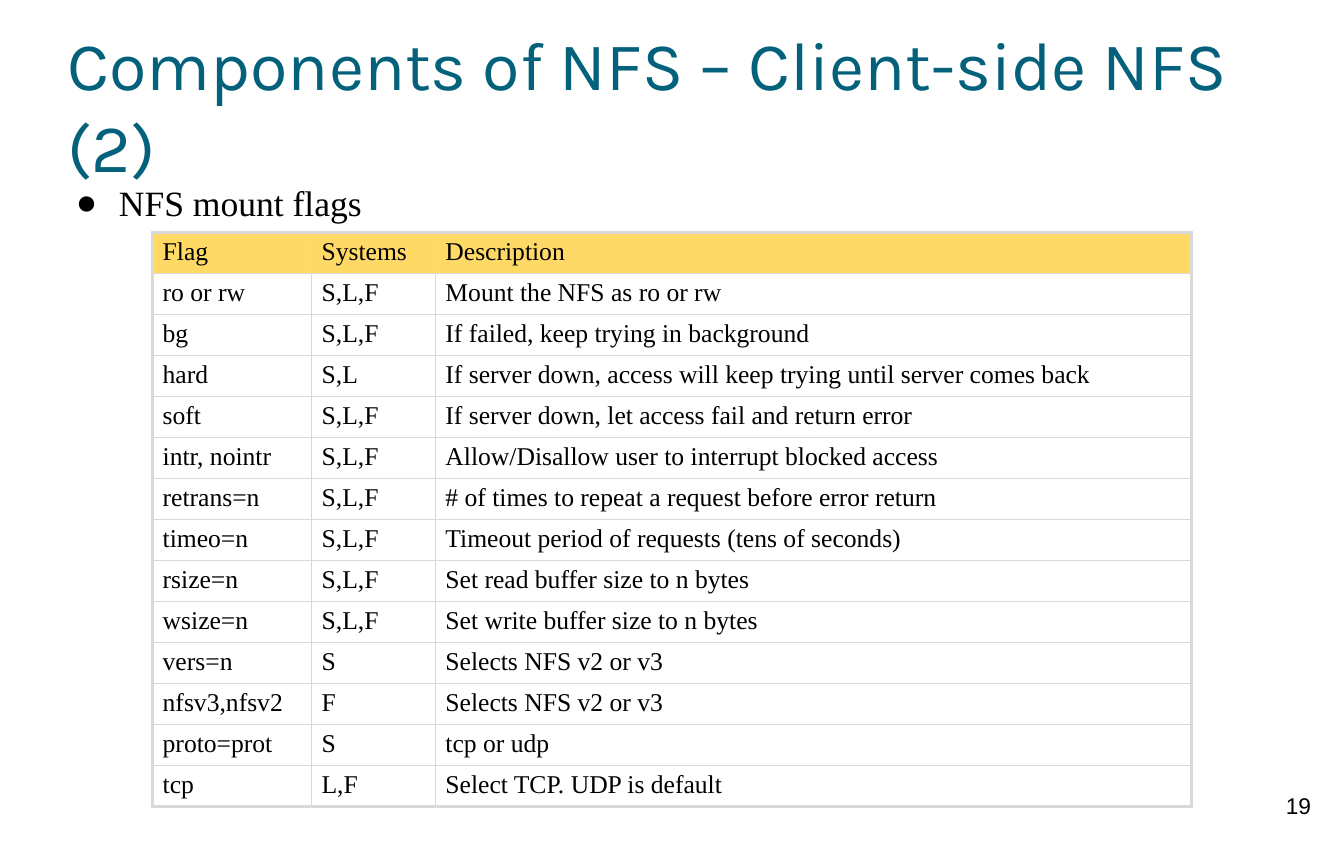
from lxml.etree import SubElement
from pptx import Presentation
from pptx.dml.color import RGBColor as Rgb
from pptx.enum.text import MSO_ANCHOR as Anchor, PP_ALIGN as Align
from pptx.oxml.ns import qn
from pptx.util import Cm, Pt

COLORS = {"title": "04617B", "text": "000000", "header": "FFD966", "border": "D9D9D9"}
TITLE_FONT = {"name": "Karla", "size": Pt(48)}
BODY_FONT = {"name": "Times New Roman", "size": Pt(25)}
FLAG_FONT = {"name": "Times New Roman", "size": Pt(18)}
NUMBER_FONT = {"name": "Arial", "size": Pt(16)}
COLUMN_WIDTHS = (3.94, 3.07, 18.75)
ROW_HEIGHT = 0.95
THIN, THICK = Pt(1), Pt(2.25)

FLAGS = [
    ("Flag", "Systems", "Description"),
    ("ro or rw", "S,L,F", "Mount the NFS as ro or rw"),
    ("bg", "S,L,F", "If failed, keep trying in background"),
    ("hard", "S,L", "If server down, access will keep trying until server comes back"),
    ("soft", "S,L,F", "If server down, let access fail and return error"),
    ("intr, nointr", "S,L,F", "Allow/Disallow user to interrupt blocked access"),
    ("retrans=n", "S,L,F", "# of times to repeat a request before error return"),
    ("timeo=n", "S,L,F", "Timeout period of requests (tens of seconds)"),
    ("rsize=n", "S,L,F", "Set read buffer size to n bytes"),
    ("wsize=n", "S,L,F", "Set write buffer size to n bytes"),
    ("vers=n", "S", "Selects NFS v2 or v3"),
    ("nfsv3,nfsv2", "F", "Selects NFS v2 or v3"),
    ("proto=prot", "S", "tcp or udp"),
    ("tcp", "L,F", "Select TCP. UDP is default"),
]


def write(paragraph, text, font, color="text"):
    """Add text to the paragraph in the given font and colour."""
    run = paragraph.add_run()
    run.text = text
    for attribute, value in font.items():
        setattr(run.font, attribute, value)
    run.font.color.rgb = Rgb.from_string(COLORS[color])


def add_frame(slide, box, margin=0):
    """Add a wrapping text box and return its text frame."""
    frame = slide.shapes.add_textbox(*map(Cm, box)).text_frame
    frame.word_wrap = True
    for side in ("left", "top", "right", "bottom"):
        setattr(frame, f"margin_{side}", Cm(margin))
    return frame


def add_title(slide, box, text):
    """Add the slide title, centred vertically in its box."""
    frame = add_frame(slide, box)
    frame.vertical_anchor = Anchor.MIDDLE
    write(frame.paragraphs[0], text, TITLE_FONT, "title")


def add_bullet(slide, box, text):
    """Add the bulleted body line."""
    paragraph = add_frame(slide, box).paragraphs[0]
    paragraph.line_spacing = 1.15
    properties = paragraph._p.get_or_add_pPr()
    properties.set("marL", str(Cm(1.27)))
    properties.set("indent", str(Cm(-1.07)))
    bullet_color = SubElement(properties, qn("a:buClr"))
    SubElement(bullet_color, qn("a:srgbClr"), val=COLORS["text"])
    SubElement(properties, qn("a:buFont"), typeface=BODY_FONT["name"])
    SubElement(properties, qn("a:buChar"), char="●")
    write(paragraph, text, BODY_FONT)


def add_borders(cell, outer_edges):
    """Draw the cell borders, thick where the cell meets the table's edge."""
    properties = cell._tc.get_or_add_tcPr()
    for side, is_outer in outer_edges.items():
        width = THICK if is_outer else THIN
        border = SubElement(properties, qn(f"a:ln{side}"), w=str(width))
        fill = SubElement(border, qn("a:solidFill"))
        SubElement(fill, qn("a:srgbClr"), val=COLORS["border"])


def add_flag_table(slide, left, top, rows):
    """Add the table of mount flags with its top-left corner at the given point."""
    size = (sum(COLUMN_WIDTHS), ROW_HEIGHT * len(rows))
    table = slide.shapes.add_table(
        len(rows), len(COLUMN_WIDTHS), *map(Cm, (left, top, *size))).table
    table.first_row = table.horz_banding = False
    for column, width in zip(table.columns, COLUMN_WIDTHS):
        column.width = Cm(width)
    for r, row in enumerate(rows):
        table.rows[r].height = Cm(ROW_HEIGHT)
        for c, text in enumerate(row):
            cell = table.cell(r, c)
            add_borders(cell, {"L": c == 0, "R": c == len(row) - 1,
                               "T": r == 0, "B": r == len(rows) - 1})
            if r == 0:
                cell.fill.solid()
                cell.fill.fore_color.rgb = Rgb.from_string(COLORS["header"])
            else:
                cell.fill.background()
            write(cell.text_frame.paragraphs[0], text, FLAG_FONT)


def add_page_number(slide, box, number):
    """Add the page number, centred in its box."""
    paragraph = add_frame(slide, box, 0.25).paragraphs[0]
    paragraph.alignment = Align.CENTER
    write(paragraph, number, NUMBER_FONT)


def main():
    """Build the mount flags slide and save it."""
    deck = Presentation()
    deck.slide_width, deck.slide_height = Cm(33.32), Cm(21.01)
    slide = deck.slides.add_slide(deck.slide_layouts[6])
    add_page_number(slide, (31.19, 19.38, 2, 1.6), "19")
    add_title(slide, (1.68, 0.84, 30, 3.5), "Components of NFS – Client-side NFS (2)")
    add_bullet(slide, (1.68, 4.34, 30.07, 15.72), "NFS mount flags")
    add_flag_table(slide, 3.78, 5.77, FLAGS)
    deck.save("out.pptx")


if __name__ == "__main__":
    main()
